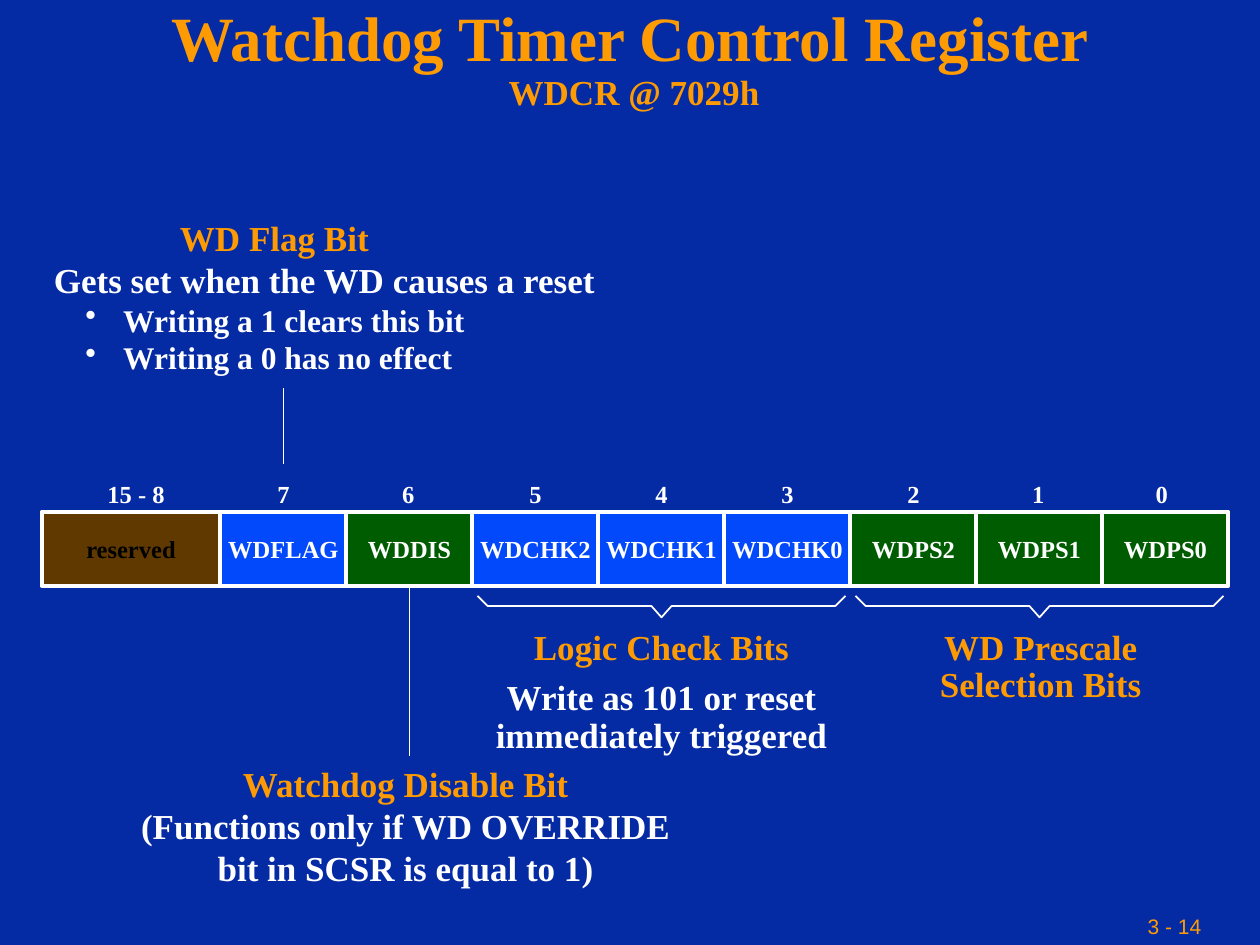
"""Build the Watchdog Timer Control Register slide."""
import pptx
import pptx.dml.color
import pptx.enum.shapes
import pptx.enum.text
import pptx.oxml
import pptx.oxml.ns
import pptx.util
from pptx.util import Inches

SERIF, SANS = "Times New Roman", "Arial"
ORANGE, WHITE, BLACK = "FE9B03", "FFFFFF", "000000"
BLUE, GREEN, BROWN, NAVY = "0249FC", "005C00", "603900", "042AA4"
LEFT, CENTER = pptx.enum.text.PP_ALIGN.LEFT, pptx.enum.text.PP_ALIGN.CENTER
MIDDLE = pptx.enum.text.MSO_ANCHOR.MIDDLE

FIELDS = [
    ("15 - 8", "reserved", BROWN, BLACK, 0.04),
    ("7", "WDFLAG", BLUE, WHITE, 0),
    ("6", "WDDIS", GREEN, WHITE, -0.01),
    ("5", "WDCHK2", BLUE, WHITE, 0),
    ("4", "WDCHK1", BLUE, WHITE, 0),
    ("3", "WDCHK0", BLUE, WHITE, 0),
    ("2", "WDPS2", GREEN, WHITE, 0),
    ("1", "WDPS1", GREEN, WHITE, -0.01),
    ("0", "WDPS0", GREEN, WHITE, -0.03),
]
FLAG_NOTE = [
    ("WD Flag Bit", 20, ORANGE, {"margin": 1}),
    ("Gets set when the WD causes a reset", 20, WHITE, {}),
    ("Writing a 1 clears this bit", 18, WHITE, {"bullet": "•"}),
    ("Writing a 0 has no effect", 18, WHITE, {"bullet": "•"}),
]
CHECK_NOTE = [
    ("Logic Check Bits", 20, ORANGE, {"spacing": 0.9}),
    ("Write as 101 or reset immediately triggered", 20, WHITE,
     {"spacing": 0.9, "before": 7.3}),
]
PRESCALE_NOTE = [
    ("WD Prescale", 20, ORANGE, {"spacing": 0.9}),
    ("Selection Bits", 20, ORANGE, {"spacing": 0.9}),
]
DISABLE_NOTE = [
    ("Watchdog Disable Bit", 20, ORANGE, {}),
    ("(Functions only if WD OVERRIDE", 20, WHITE, {}),
    ("bit in SCSR is equal to 1)", 20, WHITE, {}),
]
NOTES = [
    (0.33, 1.67, 4.6, 1.37, LEFT, FLAG_NOTE),
    (3.75, 4.95, 3, 1.1, CENTER, CHECK_NOTE),
    (7.36, 4.95, 1.8, 0.7, CENTER, PRESCALE_NOTE),
    (1.02, 6, 4.4, 1.1, CENTER, DISABLE_NOTE),
]
ROW_TOP, ROW_H = 4.06, 0.59
FIRST_LEFT, BITS_LEFT, BIT_W = 0.33, 1.75, 1
BRACE_STARTS = [3.75, 6.75]


def rgb(color):
    return pptx.dml.color.RGBColor.from_string(color)


def add_run(p, text, size, color, font=SERIF, bold=True):
    r = p.add_run()
    r.text = text
    r.font.size = pptx.util.Pt(size)
    r.font.name = font
    r.font.bold = bold
    r.font.color.rgb = rgb(color)


def add_box(s, x, y, w, h, wrap=True):
    tf = s.shapes.add_textbox(Inches(x), Inches(y), Inches(w), Inches(h)).text_frame
    tf.word_wrap = wrap
    return tf


def indent(p, margin, bullet=None):
    pPr = p._p.get_or_add_pPr()
    pPr.set("marL", str(Inches(margin)))
    if bullet:
        pPr.set("indent", str(Inches(-0.3)))
        bu = pptx.oxml.parse_xml(
            f'<a:buChar {pptx.oxml.ns.nsdecls("a")} char="{bullet}"/>')
        pPr.append(bu)


def add_note(s, x, y, w, h, align, lines):
    tf = add_box(s, x, y, w, h)
    for i, (text, size, color, style) in enumerate(lines):
        p = tf.add_paragraph() if i else tf.paragraphs[0]
        p.alignment = align
        if "spacing" in style:
            p.line_spacing = style["spacing"]
        if "before" in style:
            p.space_before = pptx.util.Pt(style["before"])
        if "bullet" in style:
            indent(p, 0.55, style["bullet"])
        elif "margin" in style:
            indent(p, style["margin"])
        add_run(p, text, size, color)


def add_field(s, x, w, bits, name, fill, color, dx):
    sp = s.shapes.add_shape(pptx.enum.shapes.MSO_SHAPE.RECTANGLE,
                            Inches(x), Inches(ROW_TOP), Inches(w), Inches(ROW_H))
    sp.shadow.inherit = False
    sp.fill.solid()
    sp.fill.fore_color.rgb = rgb(fill)
    sp.line.color.rgb = rgb(WHITE)
    sp.line.width = pptx.util.Pt(2.25)
    tf = sp.text_frame
    tf.word_wrap = False
    tf.vertical_anchor = MIDDLE
    tf.margin_left = tf.margin_right = 0
    number = add_box(s, x + dx, 3.75, w, 0.33)
    for p, text, c in ((tf.paragraphs[0], name, color),
                       (number.paragraphs[0], bits, WHITE)):
        p.alignment = CENTER
        add_run(p, text, 14, c)
    return sp


def add_line(s, x, y1, y2):
    cx = s.shapes.add_connector(pptx.enum.shapes.MSO_CONNECTOR.STRAIGHT,
                                Inches(x), Inches(y1), Inches(x), Inches(y2))
    cx.line.color.rgb = rgb(WHITE)
    cx.line.width = pptx.util.Pt(1)
    cx._element.spPr.append(pptx.oxml.parse_xml(
        f'<a:effectLst {pptx.oxml.ns.nsdecls("a")}/>'))
    return cx


def add_brace(s, start):
    mid, top, step = start + 1.5, 4.73, 0.08
    half = [(1.46, 0), (1.38, step), (step, step)]
    points = ([(mid - dx, top + dy) for dx, dy in half] + [(mid, 4.9)]
              + [(mid + dx, top + dy) for dx, dy in reversed(half)])
    points = [(Inches(x), Inches(y)) for x, y in points]
    fb = s.shapes.build_freeform(*points[0])
    fb.add_line_segments(points[1:], close=False)
    sp = fb.convert_to_shape()
    sp.shadow.inherit = False
    sp.fill.background()
    sp.line.color.rgb = rgb(WHITE)
    sp.line.width = pptx.util.Pt(1)


def main():
    prs = pptx.Presentation()
    prs.slide_width, prs.slide_height = Inches(10), Inches(7.5)
    s = prs.slides.add_slide(prs.slide_layouts[6])
    s.background.fill.solid()
    s.background.fill.fore_color.rgb = rgb(NAVY)

    tf = add_box(s, 0, 0.14, 10, 0.67)
    tf.vertical_anchor = MIDDLE
    p = tf.paragraphs[0]
    p.alignment = CENTER
    p.line_spacing = 0.9
    add_run(p, "Watchdog Timer Control Register", 36, ORANGE)
    p.add_line_break()
    add_run(p, " WDCR @ 7029h", 20, ORANGE)

    cells = {}
    for i, field in enumerate(FIELDS):
        x = BITS_LEFT + (i - 1) * BIT_W if i else FIRST_LEFT
        w = BIT_W if i else BITS_LEFT - FIRST_LEFT
        cells[field[1]] = add_field(s, x, w, *field)

    add_line(s, 2.25, 3.08, 3.68)
    add_line(s, 3.25, ROW_TOP + ROW_H, 6).begin_connect(cells["WDDIS"], 2)
    for start in BRACE_STARTS:
        add_brace(s, start)
    for note in NOTES:
        add_note(s, *note)

    tf = add_box(s, 9.01, 7.2, 0.9, 0.3)
    add_run(tf.paragraphs[0], "3 - 14", 12, ORANGE, SANS, False)
    prs.save("out.pptx")


if __name__ == "__main__":
    main()
